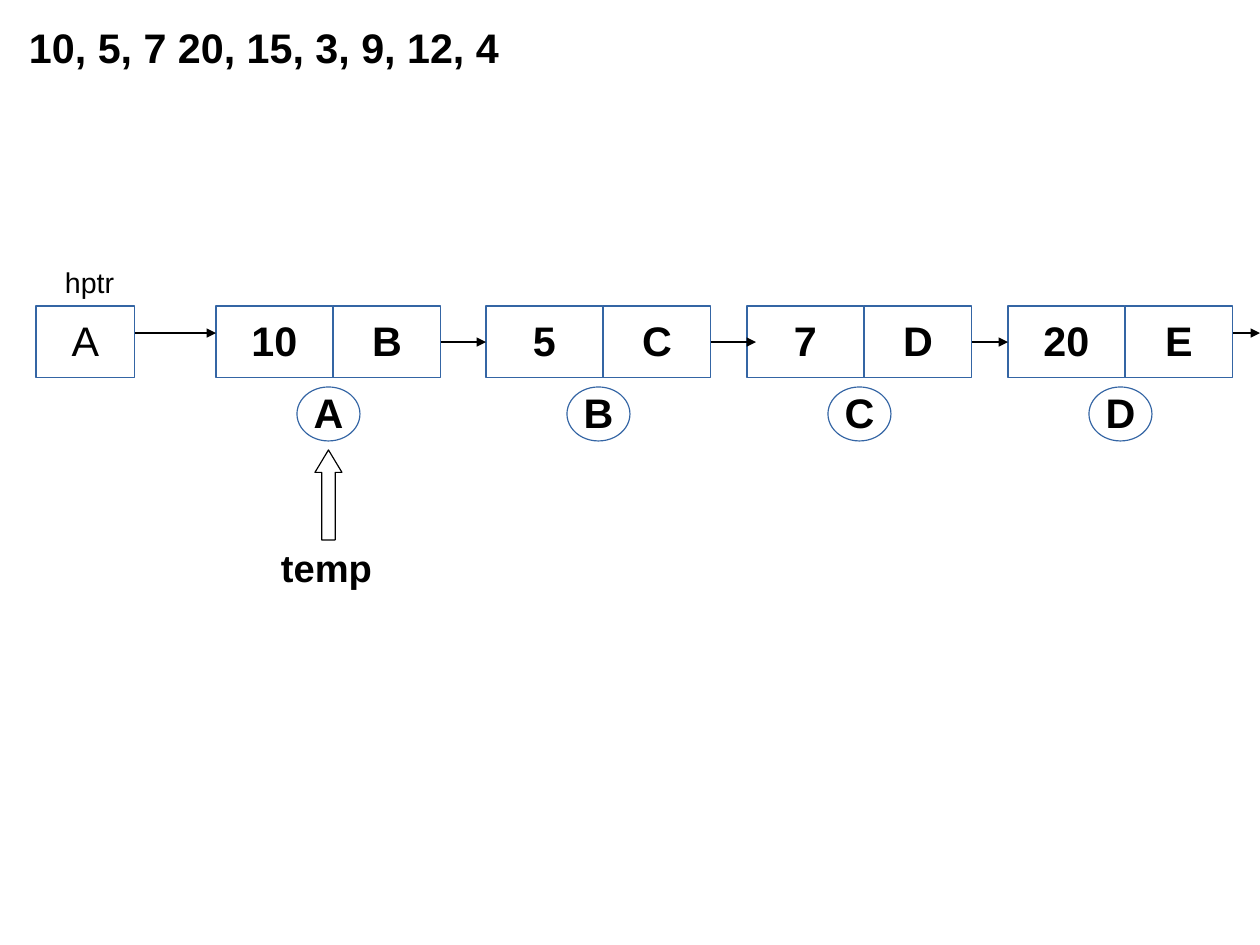
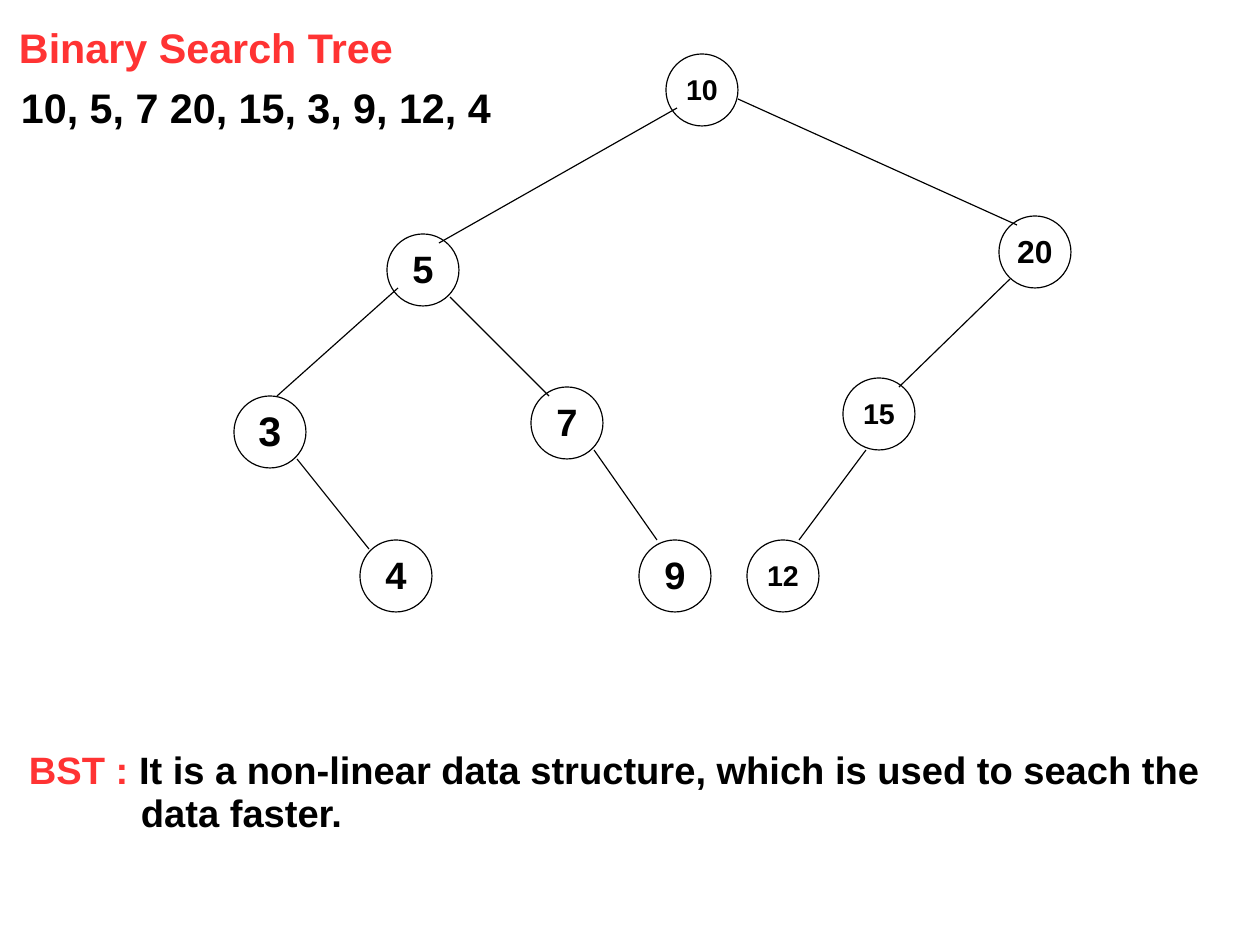
from lxml.etree import SubElement
from pptx import Presentation
from pptx.dml.color import RGBColor
from pptx.enum.shapes import MSO_CONNECTOR, MSO_SHAPE as SHAPE
from pptx.enum.text import MSO_ANCHOR as ANCHOR, MSO_AUTO_SIZE, PP_ALIGN as ALIGN
from pptx.oxml.ns import qn
from pptx.util import Emu, Pt

EMU_PER_PX = 8000
SLIDE_WIDTH, SLIDE_HEIGHT = 1260, 945
TITLE_ONLY = 5

FONT = "Arial"
BLACK, WHITE, BLUE, RED = "000000", "FFFFFF", "3465A4", "FF3333"
SEQUENCE = "10, 5, 7 20, 15, 3, 9, 12, 4"
TOP, BOTTOM, LEFT, RIGHT = 0, 2, 1, 3

CELL_TOP, CELL_HEIGHT = 306, 72
VALUE_WIDTH, LINK_WIDTH = 117, 108
LINKED_NODES = [  # left, value, link, address
    (216, "10", "B", "A"),
    (486, "5", "C", "B"),
    (747, "7", "D", "C"),
    (1008, "20", "E", "D"),
]

CIRCLE = 72
TREE_NODES = [  # value, left, top, font size
    ("10", 666, 54, 18),
    ("5", 387, 234, 24),
    ("20", 999, 216, 20),
    ("3", 234, 396, 26),
    ("7", 531, 387, 24),
    ("15", 843, 378, 18),
    ("4", 360, 540, 24),
    ("9", 639, 540, 24),
    ("12", 747, 540, 18),
]
TREE_EDGES = [
    ((677, 108), (439, 243)),
    ((738, 99), (1017, 225)),
    ((398, 288), (277, 396)),
    ((450, 297), (549, 396)),
    ((1010, 279), (899, 387)),
    ((297, 459), (369, 549)),
    ((594, 450), (657, 540)),
    ((866, 450), (799, 540)),
]


def px(length):
    return Emu(length * EMU_PER_PX)


def color(hex_string):
    return RGBColor.from_string(hex_string)


def set_all(target, values):
    for name, value in values.items():
        setattr(target, name, value)


def write(shape, runs, size=26, bold=True, align=ALIGN.LEFT,
          anchor=ANCHOR.TOP, wrap=True):
    """Fill a shape with one paragraph made of (text, colour) runs."""
    frame = shape.text_frame
    set_all(frame, {
        "auto_size": MSO_AUTO_SIZE.NONE, "word_wrap": wrap,
        "vertical_anchor": anchor,
        "margin_left": px(11), "margin_right": px(11),
        "margin_top": px(8), "margin_bottom": px(6),
    })
    paragraph = frame.paragraphs[0]
    set_all(paragraph, {"alignment": align, "line_spacing": 0.94})
    for text, hex_string in runs:
        run = paragraph.add_run()
        run.text = text
        set_all(run.font, {"name": FONT, "size": Pt(size), "bold": bold})
        run.font.color.rgb = color(hex_string)
    return paragraph


def add_titled_slide(presentation, text, box, hex_string=BLACK):
    slide = presentation.slides.add_slide(presentation.slide_layouts[TITLE_ONLY])
    title = slide.shapes.title
    set_all(title, dict(zip(("left", "top", "width", "height"), map(px, box))))
    write(title, [(text, hex_string)])
    return slide


def add_text(slide, box, runs, **style):
    return write(slide.shapes.add_textbox(*map(px, box)), runs, **style)


def add_outlined(slide, kind, box, line=BLACK, text="", **style):
    """Add a white shape with a thin outline and centred text."""
    shape = slide.shapes.add_shape(kind, *map(px, box))
    shape.shadow.inherit = False
    shape.fill.solid()
    shape.fill.fore_color.rgb = color(WHITE)
    shape.line.color.rgb = color(line)
    shape.line.width = Pt(0.75)
    if text:
        write(shape, [(text, BLACK)], align=ALIGN.CENTER,
              anchor=ANCHOR.MIDDLE, wrap=False, **style)
    return shape


def add_line(slide, start, end, arrow=False):
    connector = slide.shapes.add_connector(
        MSO_CONNECTOR.STRAIGHT, *map(px, (*start, *end)))
    connector.line.color.rgb = color(BLACK)
    connector.line.width = Pt(0.75)
    properties = connector._element.spPr
    if arrow:
        SubElement(properties.find(qn("a:ln")), qn("a:tailEnd"), type="triangle")
    SubElement(properties, qn("a:effectLst"))
    return connector


def add_cell(slide, left, width, text, bold=True):
    return add_outlined(slide, SHAPE.RECTANGLE,
                        (left, CELL_TOP, width, CELL_HEIGHT), BLUE, text, bold=bold)


def add_linked_node(slide, left, value, link, address):
    """Add a value cell, its link cell and the address below; return the cells."""
    value_cell = add_cell(slide, left, VALUE_WIDTH, value)
    link_cell = add_cell(slide, left + VALUE_WIDTH, LINK_WIDTH, link)
    add_outlined(slide, SHAPE.OVAL, (left + 81, 387, 63, 54), BLUE, address)
    return value_cell, link_cell


def build_linked_list(presentation):
    slide = add_titled_slide(presentation, SEQUENCE, (18, 18, 520, 57))
    add_cell(slide, 36, 99, "A", bold=False)
    add_text(slide, (54, 260, 80, 44), [("hptr", BLACK)], size=18, bold=False)
    cells = [add_linked_node(slide, *node) for node in LINKED_NODES]

    middle = CELL_TOP + CELL_HEIGHT // 2
    ends = [(486, True), (756, False), (1008, True)]
    for (_, link_cell), (next_cell, _), (end, joined) in zip(cells, cells[1:], ends):
        arrow = add_line(slide, (end - 40, middle), (end, middle), arrow=True)
        arrow.begin_connect(link_cell, RIGHT)
        if joined:
            arrow.end_connect(next_cell, LEFT)
    for start, end in ((135, 216), (1233, SLIDE_WIDTH)):
        add_line(slide, (start, 333), (end, 333), arrow=True)

    pointer = add_outlined(slide, SHAPE.UP_ARROW, (315, 450, 27, 90))
    pointer.adjustments[1] = 0.83
    add_text(slide, (270, 540, 120, 54), [("temp", BLACK)], size=24)


def build_search_tree(presentation):
    slide = add_titled_slide(presentation, "Binary Search Tree", (8, 18, 420, 57), RED)
    add_text(slide, (10, 78, 520, 57), [(SEQUENCE, BLACK)])
    for value, left, top, size in TREE_NODES:
        add_outlined(slide, SHAPE.OVAL, (left, top, CIRCLE, CIRCLE),
                     text=value, size=size)
    for start, end in TREE_EDGES:
        add_line(slide, start, end)

    definition = add_text(slide, (18, 742, 1205, 100), [
        ("BST : ", RED),
        ("It is a non-linear data structure, which is used to seach the data faster.",
         BLACK),
    ], size=24)
    hanging = px(112)
    properties = definition._p.get_or_add_pPr()
    properties.set("marL", str(hanging))
    properties.set("indent", str(-hanging))


def main():
    presentation = Presentation()
    set_all(presentation, {"slide_width": px(SLIDE_WIDTH),
                           "slide_height": px(SLIDE_HEIGHT)})
    build_linked_list(presentation)
    build_search_tree(presentation)
    presentation.save("out.pptx")


if __name__ == "__main__":
    main()
